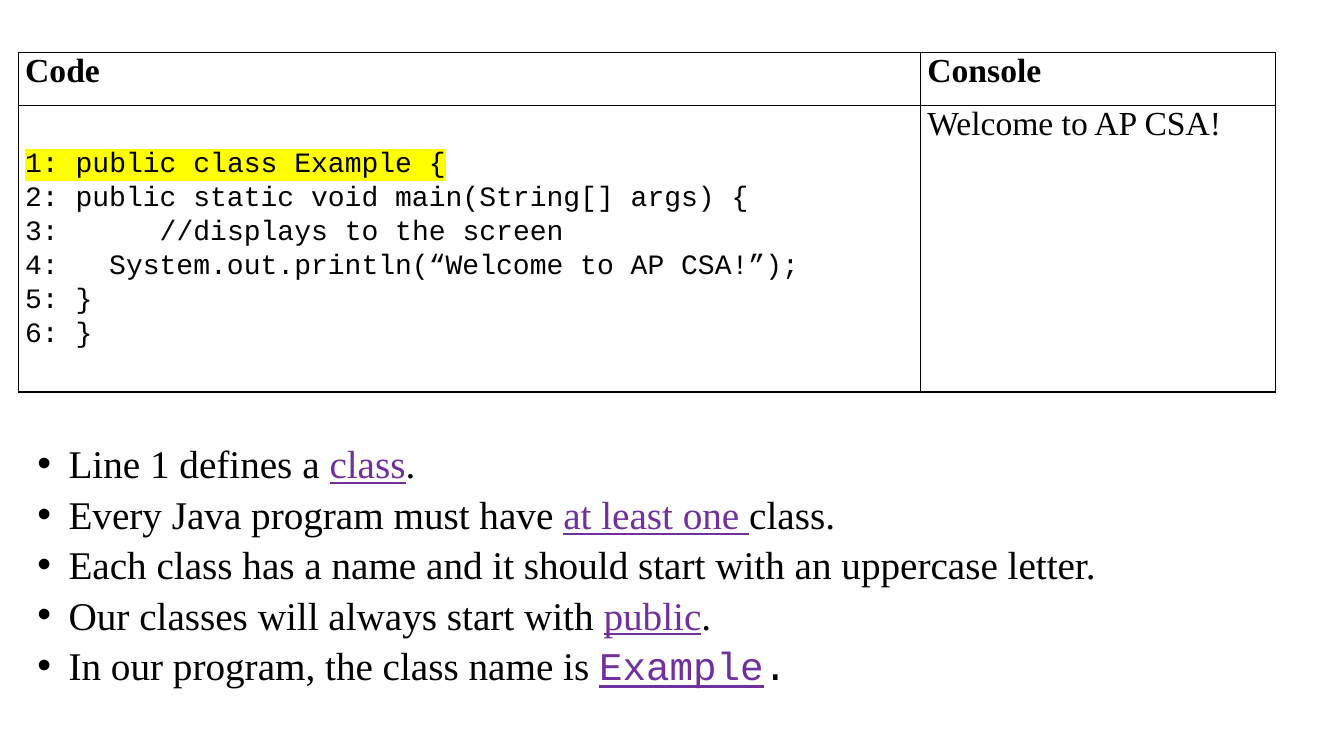
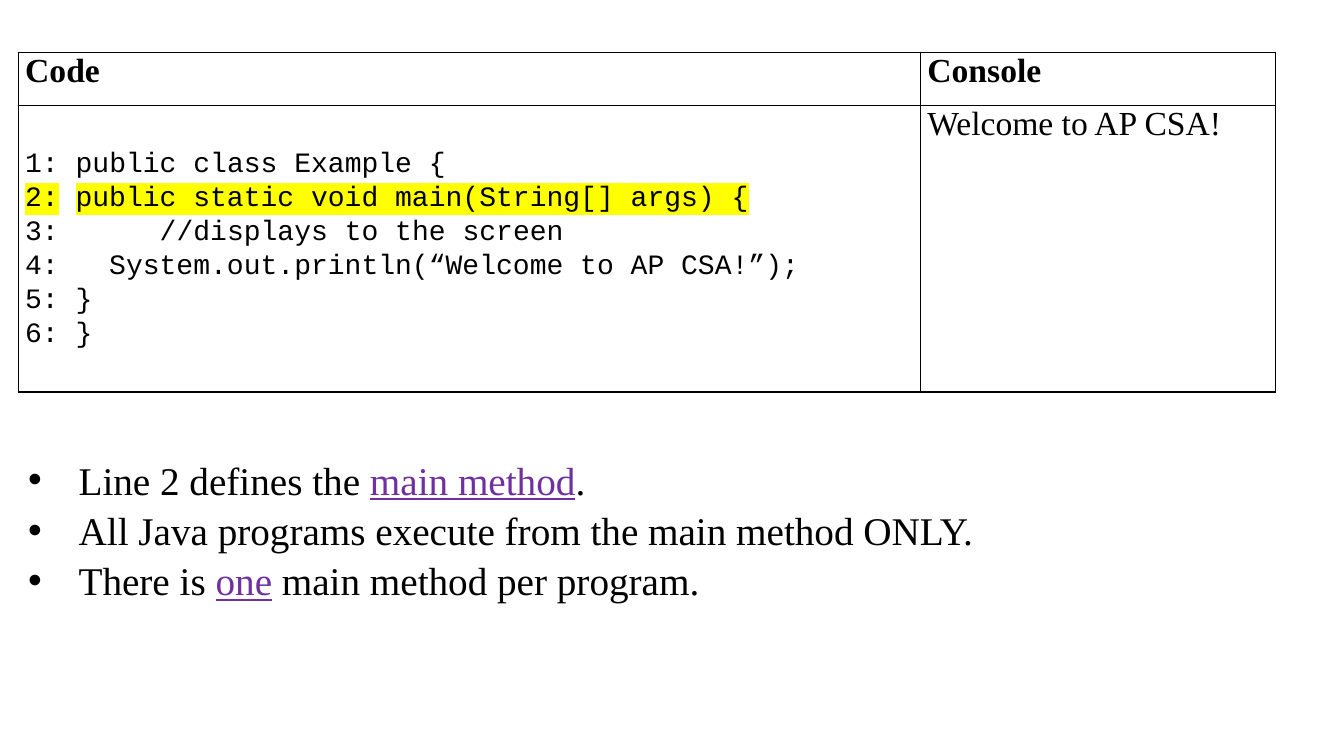
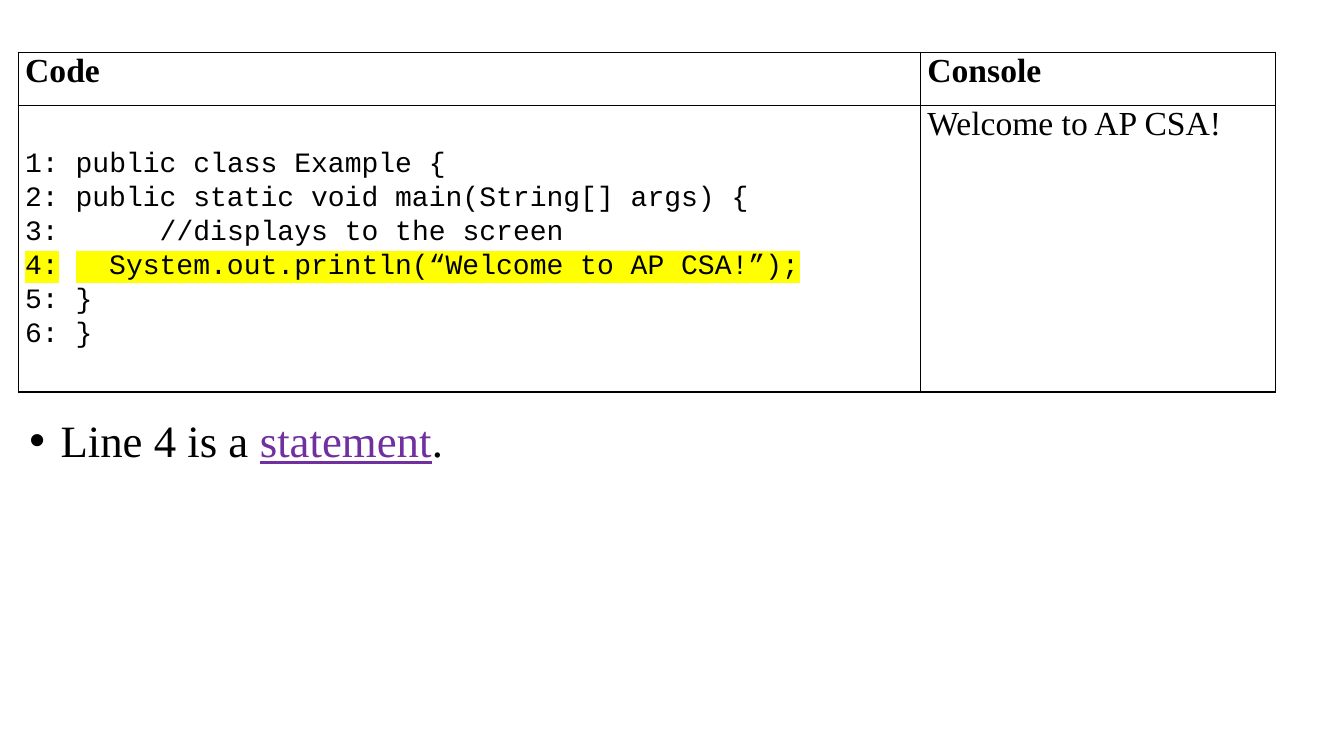
from dataclasses import dataclass

from lxml import etree
from pptx import Presentation
from pptx.dml.color import RGBColor
from pptx.enum.text import MSO_ANCHOR, MSO_AUTO_SIZE
from pptx.oxml.ns import qn
from pptx.util import Inches, Pt

TOP, MIDDLE = MSO_ANCHOR.TOP, MSO_ANCHOR.MIDDLE
GROW = MSO_AUTO_SIZE.SHAPE_TO_FIT_TEXT

SERIF, MONO = "Times New Roman", "Courier New"
INK, KEY, MARK = "000000", "7030A0", "FFFF00"
LINE_SPACING = 1.07
WIDTH, HEIGHT = Inches(13.33), Inches(7.5)

HEADERS = ("Code", "Console")
OUTPUT = "Welcome to AP CSA!"
CODE = (
    "1: public class Example {",
    "2:\tpublic static void main(String[] args) {",
    "3:      //displays to the screen",
    "4:\t  System.out.println(“Welcome to AP CSA!”);",
    "5:\t}",
    "6: }",
)


@dataclass(frozen=True)
class Box:
    """Shares of the slide, in percent."""
    left: float
    top: float
    width: float
    height: float


@dataclass(frozen=True)
class Span:
    text: str
    key: bool = False
    font: str = SERIF


@dataclass(frozen=True)
class Lesson:
    marked_line: int
    box: Box
    size: int
    indent: float
    bullets: tuple[tuple[Span, ...], ...]


TABLE_LEFT, TABLE_TOP = 1.35, 6.93
COLUMNS, ROWS = (67.13, 26.4), (7.07, 37.87)

LESSONS = (
    Lesson(1, Box(2.03, 57.07, 90.32, 34.93), 28, 0.31, (
        (Span("Line 1 defines a "), Span("class", True), Span(".")),
        (Span("Every Java program must have "), Span("at least one ", True), Span("class.")),
        (Span("Each class has a name and it should start with an uppercase letter."),),
        (Span("Our classes will always start with "), Span("public", True), Span(".")),
        (Span("In our program, the class name is "), Span("Example", True, MONO),
         Span(".", False, MONO)),
    )),
    Lesson(2, Box(1.35, 59.2, 90.32, 21.07), 28, 0.5, (
        (Span("Line 2 defines the "), Span("main method", True), Span(".")),
        (Span("All Java programs execute from the main method ONLY."),),
        (Span("There is "), Span("one", True), Span(" main method per program.")),
    )),
    Lesson(4, Box(1.43, 53.47, 93.47, 8.53), 32, 0.31, (
        (Span("Line 4 is a "), Span("statement", True), Span(".")),
    )),
)


def rgb(color: str) -> RGBColor:
    return RGBColor.from_string(color)


def across(share: float) -> int:
    return round(WIDTH * share / 100)


def down(share: float) -> int:
    return round(HEIGHT * share / 100)


def add_color(parent, tag: str, color: str):
    element = etree.SubElement(parent, qn(tag))
    etree.SubElement(element, qn("a:srgbClr"), val=color)
    return element


def style_run(r, font: str, size: int, color: str = INK, bold: bool = False) -> None:
    r.font.name = font
    r.font.size = Pt(size)
    r.font.bold = bold
    r.font.color.rgb = rgb(color)


def highlight(r) -> None:
    rPr = r.font._element
    rPr.find(qn("a:solidFill")).addnext(add_color(rPr, "a:highlight", MARK))


def style_cell(cell) -> None:
    cell.margin_left = cell.margin_right = Inches(0.07)
    cell.margin_top = cell.margin_bottom = 0
    tcPr = cell._tc.get_or_add_tcPr()
    for side in ("a:lnL", "a:lnR", "a:lnT", "a:lnB"):
        line = etree.SubElement(tcPr, qn(side), w=str(Pt(1)))
        add_color(line, "a:solidFill", INK)
    cell.fill.background()


def fill_cell(cell, text: str, bold: bool = False) -> None:
    cell.text_frame.text = text
    style_run(cell.text_frame.paragraphs[0].runs[0], SERIF, 24, bold=bold)


def add_code_table(s, marked_line: int) -> None:
    table = s.shapes.add_table(
        len(ROWS), len(COLUMNS), across(TABLE_LEFT), down(TABLE_TOP),
        across(sum(COLUMNS)), down(sum(ROWS))).table
    table.first_row = table.horz_banding = False
    for column, share in zip(table.columns, COLUMNS):
        column.width = across(share)
    for row, share in zip(table.rows, ROWS):
        row.height = down(share)
    for cell in table.iter_cells():
        style_cell(cell)
    for i, header in enumerate(HEADERS):
        fill_cell(table.cell(0, i), header, bold=True)
    fill_cell(table.cell(1, 1), OUTPUT)

    code_cell = table.cell(1, 0)
    code_cell.vertical_anchor = MIDDLE
    tf = code_cell.text_frame
    tf.text = "\n".join(CODE)
    for number, p in enumerate(tf.paragraphs, 1):
        p.line_spacing = LINE_SPACING
        r = p.runs[0]
        style_run(r, MONO, 20)
        if number == marked_line:
            highlight(r)


def add_bullet(p, indent: float) -> None:
    pPr = p._p.get_or_add_pPr()
    pPr.set("marL", str(Inches(indent)))
    pPr.set("indent", str(-Inches(indent)))
    etree.SubElement(pPr, qn("a:buFont"), typeface="Arial")
    etree.SubElement(pPr, qn("a:buChar"), char="•")


def add_notes_list(s, lesson: Lesson) -> None:
    sp, box = s.placeholders[1], lesson.box
    sp.left, sp.top = across(box.left), down(box.top)
    sp.width, sp.height = across(box.width), down(box.height)
    tf = sp.text_frame
    tf.word_wrap = True
    tf.auto_size = GROW
    tf.vertical_anchor = TOP
    for i, spans in enumerate(lesson.bullets):
        p = tf.add_paragraph() if i else tf.paragraphs[0]
        add_bullet(p, lesson.indent)
        p.line_spacing = LINE_SPACING
        p.space_before = p.space_after = Pt(0)
        for span in spans:
            r = p.add_run()
            r.text = span.text
            style_run(r, span.font, lesson.size, KEY if span.key else INK)
            r.font.underline = span.key


def main() -> None:
    prs = Presentation()
    prs.slide_width, prs.slide_height = WIDTH, HEIGHT
    for lesson in LESSONS:
        s = prs.slides.add_slide(prs.slide_layouts[1])
        title = s.shapes.title._element
        title.getparent().remove(title)
        add_code_table(s, lesson.marked_line)
        add_notes_list(s, lesson)
    prs.save("out.pptx")


if __name__ == "__main__":
    main()
